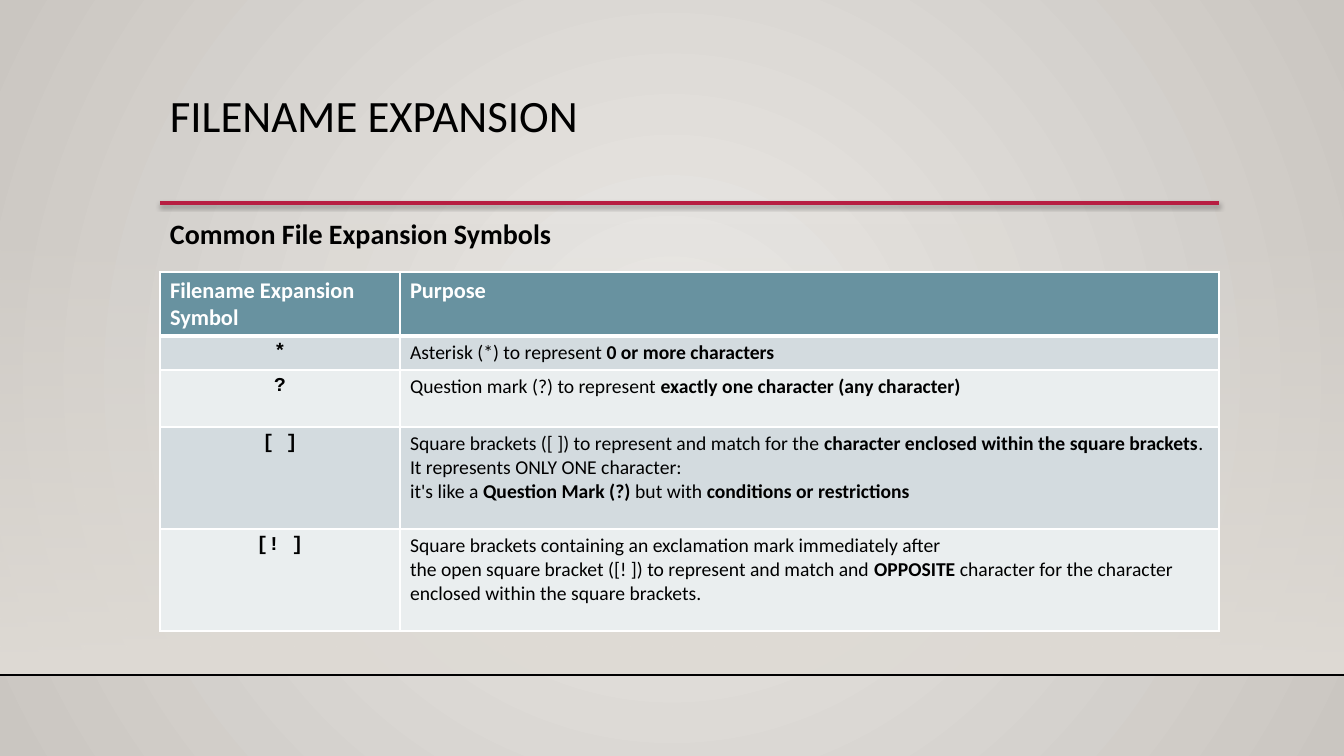
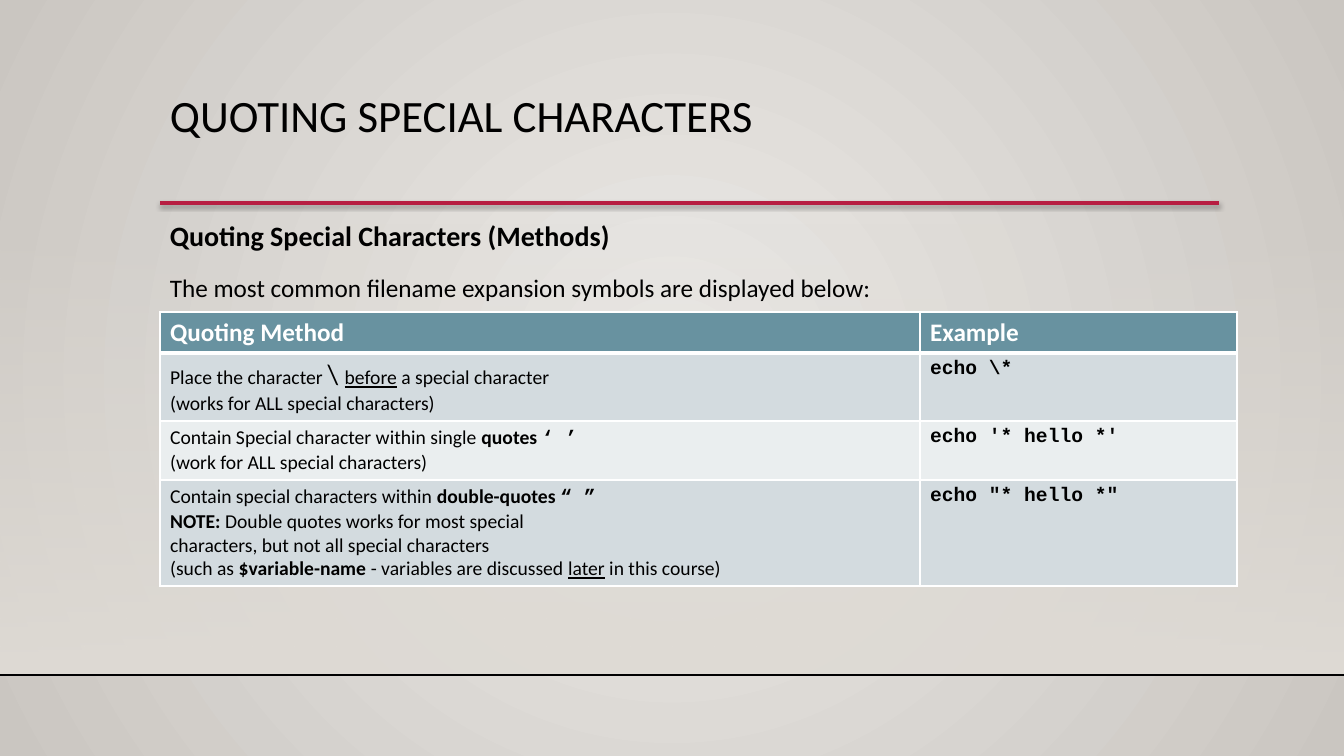
from copy import deepcopy

from pptx import Presentation
from pptx.dml.color import RGBColor
from pptx.enum.shapes import MSO_CONNECTOR as Connector, MSO_SHAPE as Shape
from pptx.enum.text import PP_ALIGN as Align
from pptx.oxml import parse_xml
from pptx.oxml.ns import nsdecls, qn
from pptx.util import Emu, Pt

SCALE = 12192000 / 1344
WIDTH, HEIGHT = 1344, 756

BLACK = RGBColor(0x00, 0x00, 0x00)
FLOOR_BLACK = RGBColor(0x00, 0x00, 0x01)
WHITE = RGBColor(0xFF, 0xFF, 0xFF)
CRIMSON = RGBColor(0xB7, 0x1E, 0x42)
TEAL = RGBColor(0x68, 0x92, 0xA0)
ROW_DARK = RGBColor(0xD3, 0xDB, 0xDF)
ROW_LIGHT = RGBColor(0xEA, 0xEE, 0xEF)
PAGE_CENTER = RGBColor(0xEC, 0xEA, 0xE7)
PAGE_EDGE = RGBColor(0xCA, 0xC6, 0xC1)
WALL = RGBColor(0xDF, 0xDB, 0xD5)

TITLE = {"name": "Calibri", "size": Pt(32)}
HEADING = {"name": "Calibri", "size": Pt(20), "bold": True}
LEAD = {"name": "Calibri", "size": Pt(18), "bold": False}
BODY = {"name": "Calibri", "size": Pt(14), "bold": False}
STRONG = {**BODY, "bold": True}
UNDERLINED = {**BODY, "underline": True}
LARGE = {**BODY, "size": Pt(20)}
CODE = {**STRONG, "name": "Courier New"}

TITLE_BOX = (160, 89, 1059, 116)
RADIAL = ('<a:path path="circle"><a:fillToRect l="50000" t="50000" '
          'r="50000" b="50000"/></a:path>')
DOWNWARD = '<a:lin ang="5400000" scaled="0"/>'
SHADOW = ('<a:outerShdw blurRad="39370" dist="22860" dir="5400000">'
          '<a:srgbClr val="000000"><a:alpha val="35000"/></a:srgbClr></a:outerShdw>')

EXPANSION_ROWS = [
    ([("*", CODE)],
     [("Asterisk (*) to represent ", BODY), ("0 or more characters", STRONG)]),
    ([("?", CODE)],
     [("Question mark (?) to represent ", BODY),
      ("exactly one character (any character)", STRONG)]),
    ([("[ ]", CODE)],
     [("Square brackets ([ ]) to represent and match for the ", BODY),
      ("character enclosed within the square brackets", STRONG),
      (". It represents ONLY ONE character:\nit's like a ", BODY),
      ("Question Mark (?)", STRONG), (" but with ", BODY),
      ("conditions or restrictions", STRONG)]),
    ([("[! ]", CODE)],
     [("Square brackets containing an exclamation mark immediately after\n"
       "the open square bracket ([! ]) to represent and match and ", BODY),
      ("OPPOSITE", STRONG),
      (" character for the character enclosed within the square brackets.", BODY)]),
]
QUOTING_ROWS = [
    ([("Place the character ", BODY), ("\\ ", LARGE), ("before", UNDERLINED),
      (" a special character\n(works for ALL special characters)", BODY)],
     [("echo \\*", CODE)]),
    ([("Contain Special character within single ", BODY), ("quotes ", STRONG),
      ("‘ ’\n", CODE), ("(work for ALL special characters)", BODY)],
     [("echo '* hello *'", CODE)]),
    ([("Contain special characters within ", BODY), ("double-quotes ", STRONG),
      ("“ ”\n", CODE), ("NOTE:", STRONG),
      (" Double quotes works for most special\n"
       "characters, but not all special characters\n(such as ", BODY),
      ("$variable-name ", STRONG), ("- variables are discussed ", BODY),
      ("later", UNDERLINED), (" in this course)", BODY)],
     [('echo "* hello *"', CODE)]),
]


def px(*lengths):
    return [Emu(round(length * SCALE)) for length in lengths]


def set_gradient(fill, element, stops, direction):
    fill.gradient()
    gradient = next(element.iter(qn("a:gradFill")))
    marks = "".join(
        f'<a:gs pos="{place}"><a:srgbClr val="{color}">'
        f'<a:alpha val="{alpha}"/></a:srgbClr></a:gs>'
        for place, color, alpha in stops)
    gradient.getparent().replace(gradient, parse_xml(
        f'<a:gradFill {nsdecls("a")} rotWithShape="1">'
        f'<a:gsLst>{marks}</a:gsLst>{direction}</a:gradFill>'))


def add_rule(page, left, right, y, color, weight, effect=""):
    rule = page.shapes.add_connector(Connector.STRAIGHT, *px(left, y, right, y))
    rule.line.color.rgb = color
    rule.line.width = Pt(weight)
    rule.element.spPr.append(
        parse_xml(f'<a:effectLst {nsdecls("a")}>{effect}</a:effectLst>'))


def write(para, spans, color=BLACK):
    for text, formats in spans:
        for index, line in enumerate(text.split("\n")):
            if index:
                para.add_line_break()
                para._p[-1].append(deepcopy(span._r.rPr))
            if not line:
                continue
            span = para.add_run()
            span.text = line
            for name, value in formats.items():
                setattr(span.font, name, value)
            span.font.color.rgb = color


def add_text(page, box, paragraphs, **spacing):
    frame = page.shapes.add_textbox(*px(*box)).text_frame
    frame.word_wrap = True
    for index, spans in enumerate(paragraphs):
        para = frame.add_paragraph() if index else frame.paragraphs[0]
        for name, value in spacing.items():
            setattr(para, name, value)
        write(para, spans)


def set_borders(cell, top, bottom):
    weights = {"lnL": 0.96, "lnR": 0.96, "lnT": top, "lnB": bottom}
    properties = cell._tc.get_or_add_tcPr()
    for index, (side, weight) in enumerate(weights.items()):
        properties.insert(index, parse_xml(
            f'<a:{side} {nsdecls("a")} w="{Pt(weight)}"><a:solidFill>'
            f'<a:srgbClr val="{WHITE}"/></a:solidFill></a:{side}>'))


def add_grid(page, left, top, widths, heights, header, rows, header_size, first_align):
    box = px(left, top, sum(widths), sum(heights))
    grid = page.shapes.add_table(len(heights), len(widths), *box).table
    grid.horz_banding = False
    for column, width in zip(grid.columns, px(*widths)):
        column.width = width
    for row, height in zip(grid.rows, px(*heights)):
        row.height = height
    header_format = {**STRONG, "size": Pt(header_size)}
    lines = [[[(label, header_format)] for label in header], *rows]
    for row, line in enumerate(lines):
        for column, spans in enumerate(line):
            cell = grid.cell(row, column)
            cell.fill.solid()
            cell.fill.fore_color.rgb = (ROW_DARK if row % 2 else ROW_LIGHT) if row else TEAL
            set_borders(cell, 3 if row == 1 else 0.96, 0.96 if row else 3)
            para = cell.text_frame.paragraphs[0]
            if row and not column:
                para.alignment = first_align
            write(para, spans, BLACK if row else WHITE)


def add_page(deck, title, intro_box, intro):
    page = deck.slides.add_slide(deck.slide_layouts[6])
    set_gradient(page.background.fill, page.element,
                 [(0, PAGE_CENTER, 100000), (100000, PAGE_EDGE, 100000)], RADIAL)
    wall = page.shapes.add_shape(Shape.RECTANGLE, *px(0, 223, WIDTH, 452))
    wall.shadow.inherit = False
    wall.line.fill.background()
    set_gradient(wall.fill, wall.element,
                 [(0, WALL, 0), (100000, WALL, 100000)], DOWNWARD)
    add_rule(page, 0, WIDTH, 675, FLOOR_BLACK, 1)
    add_rule(page, 160, 1219, 203, CRIMSON, 2.5, SHADOW)
    add_text(page, TITLE_BOX, [[(title, TITLE)]], line_spacing=0.9)
    add_text(page, intro_box, intro, line_spacing=1.2, space_before=Pt(10))
    return page


def add_expansion_page(deck):
    page = add_page(deck, "FILENAME EXPANSION", (160, 205, 1024, 59),
                    [[("Common File Expansion Symbols", HEADING)]])
    add_grid(page, 160, 272, (240, 819), (64, 34, 57, 102, 102),
             ("Filename Expansion Symbol", "Purpose"), EXPANSION_ROWS, 16, Align.CENTER)


def add_quoting_page(deck):
    page = add_page(deck, "QUOTING SPECIAL CHARACTERS", (160, 207, 1051, 116),
                    [[("Quoting Special Characters (Methods)", HEADING)],
                     [("The most common filename expansion symbols are displayed below:",
                       LEAD)]])
    add_grid(page, 160, 312, (760, 317), (41, 68, 59, 106),
             ("Quoting Method", "Example"), QUOTING_ROWS, 18, Align.LEFT)


def main():
    deck = Presentation()
    deck.slide_width, deck.slide_height = px(WIDTH, HEIGHT)
    add_expansion_page(deck)
    add_quoting_page(deck)
    deck.save("out.pptx")


if __name__ == "__main__":
    main()
